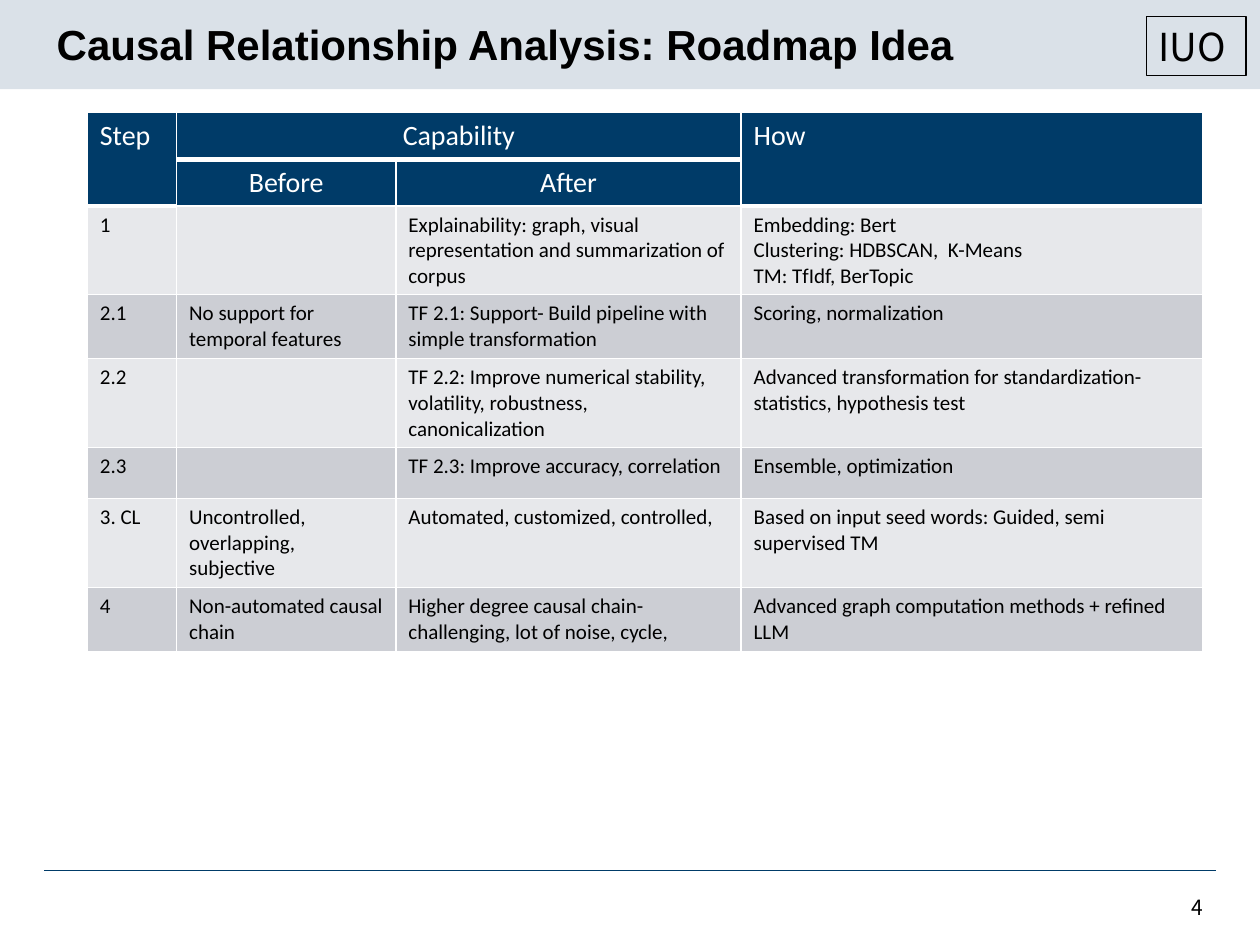
from lxml import etree
from pptx import Presentation
from pptx.dml.color import RGBColor
from pptx.enum.shapes import MSO_CONNECTOR, MSO_SHAPE
from pptx.enum.text import MSO_ANCHOR, PP_ALIGN
from pptx.oxml.ns import qn
from pptx.util import Cm, Pt

RECT, STRAIGHT = MSO_SHAPE.RECTANGLE, MSO_CONNECTOR.STRAIGHT
MIDDLE = MSO_ANCHOR.MIDDLE
LEFT, CENTER, RIGHT = PP_ALIGN.LEFT, PP_ALIGN.CENTER, PP_ALIGN.RIGHT
COLORS = {"band": "DAE1E8", "navy": "003B68", "light": "E7E8EB",
          "dark": "CCCED4", "white": "FFFFFF", "black": "000000"}
CJK = "Noto Sans CJK JP"
HEADER_ROWS = 2

ROWS = [
    ["Step", "Capability", "", "How"],
    ["", "Before", "After", ""],
    ["1", "",
     "Explainability: graph, visual representation and summarization of corpus",
     "Embedding: Bert\nClustering: HDBSCAN,  K-Means\nTM: TfIdf, BerTopic"],
    ["2.1", "No support for temporal features",
     "TF 2.1: Support- Build pipeline with simple transformation",
     "Scoring, normalization"],
    ["2.2", "",
     "TF 2.2: Improve numerical stability, volatility, robustness, canonicalization",
     "Advanced transformation for standardization- statistics, hypothesis test"],
    ["2.3", "", "TF 2.3: Improve accuracy, correlation",
     "Ensemble, optimization"],
    ["3. CL", "Uncontrolled, overlapping, subjective",
     "Automated, customized, controlled,",
     "Based on input seed words: Guided, semi supervised TM"],
    ["4", "Non-automated causal chain",
     "Higher degree causal chain- challenging, lot of noise, cycle,",
     "Advanced graph computation methods + refined LLM"],
]
COL_WIDTHS = [1.8, 4.42, 6.96, 9.3]
ROW_HEIGHTS = [0.94, 0.94, 1.79, 1.29, 1.79, 1.03, 1.79, 1.29]


def rgb(name):
    return RGBColor.from_string(COLORS[name])


def style(p, size, font, color="black", align=LEFT, bold=False):
    p.alignment = align
    p.font.size, p.font.name, p.font.bold = Pt(size), font, bold
    p.font.color.rgb = rgb(color)


prs = Presentation()
prs.slide_width, prs.slide_height = Cm(25.4), Cm(19.05)
s = prs.slides.add_slide(prs.slide_layouts[5])

# Header band, footer rule and marking box
band = s.shapes.add_shape(RECT, 0, 0, prs.slide_width, Cm(1.8))
band.shadow.inherit = False
band.fill.solid()
band.fill.fore_color.rgb = rgb("band")
band.line.fill.background()

rule = s.shapes.add_connector(STRAIGHT, Cm(0.89), Cm(17.55), Cm(24.51), Cm(17.55))
rule.line.color.rgb = rgb("navy")
rule.line.width = Pt(1)
etree.SubElement(rule.element.spPr, qn("a:effectLst"))

marking = s.shapes.add_shape(RECT, Cm(23.11), Cm(0.33), Cm(2.01), Cm(1.19))
marking.shadow.inherit = False
marking.fill.background()
marking.line.color.rgb = rgb("black")
marking.line.width = Pt(0.75)
tf = marking.text_frame
tf.word_wrap = False
tf.vertical_anchor = MIDDLE
tf.text = "IUO"
style(tf.paragraphs[0], 22, CJK)

# Title, brought in front of the band
title = s.shapes.title
title.element.getparent().append(title.element)
title.left, title.top, title.width, title.height = Cm(0.89), Cm(0.48), Cm(22.81), Cm(0.91)
tf = title.text_frame
tf.text = "Causal Relationship Analysis: Roadmap Idea"
tf.margin_top = tf.margin_bottom = 0
tf.vertical_anchor = MIDDLE
style(tf.paragraphs[0], 24, "Arial", bold=True)
tf.paragraphs[0].line_spacing = 0.9

# Slide number
number = s.shapes.add_textbox(Cm(23.19), Cm(17.78), Cm(1.32), Cm(1.02))
tf = number.text_frame
tf.word_wrap = True
tf.vertical_anchor = MIDDLE
tf.text = "4"
style(tf.paragraphs[0], 12, CJK, align=RIGHT)

# Roadmap table
frame = s.shapes.add_table(len(ROWS), len(COL_WIDTHS), Cm(1.76), Cm(2.27),
                           Cm(sum(COL_WIDTHS)), Cm(sum(ROW_HEIGHTS)))
table = frame.table
for column, width in zip(table.columns, COL_WIDTHS):
    column.width = Cm(width)
for row, height in zip(table.rows, ROW_HEIGHTS):
    row.height = Cm(height)
table.cell(0, 0).merge(table.cell(1, 0))
table.cell(0, 1).merge(table.cell(0, 2))
table.cell(0, 3).merge(table.cell(1, 3))

for r, texts in enumerate(ROWS):
    header = r < HEADER_ROWS
    fill = "navy" if header else ("light", "dark")[r % 2]
    for c, text in enumerate(texts):
        cell = table.cell(r, c)
        cell.text = text
        cell.fill.solid()
        cell.fill.fore_color.rgb = rgb(fill)
        for p in cell.text_frame.paragraphs:
            if header:
                style(p, 16, "Calibri", "white", CENTER if c in (1, 2) else LEFT)
            else:
                style(p, 12, "Calibri")
        # Thick rule under each cell that starts in the first row
        thick_top = r == 1 or (r == HEADER_ROWS and c in (0, 3))
        thick_bottom = r == 0 or (r == 1 and c in (0, 3))
        widths = {"L": 1, "R": 1, "T": 3 if thick_top else 1,
                  "B": 3 if thick_bottom else 1}
        tcPr = cell._tc.get_or_add_tcPr()
        for i, (side, width) in enumerate(widths.items()):
            ln = etree.Element(qn(f"a:ln{side}"), w=str(Pt(width)))
            solid = etree.SubElement(ln, qn("a:solidFill"))
            etree.SubElement(solid, qn("a:srgbClr"), val=COLORS["white"])
            tcPr.insert(i, ln)

prs.save("out.pptx")
